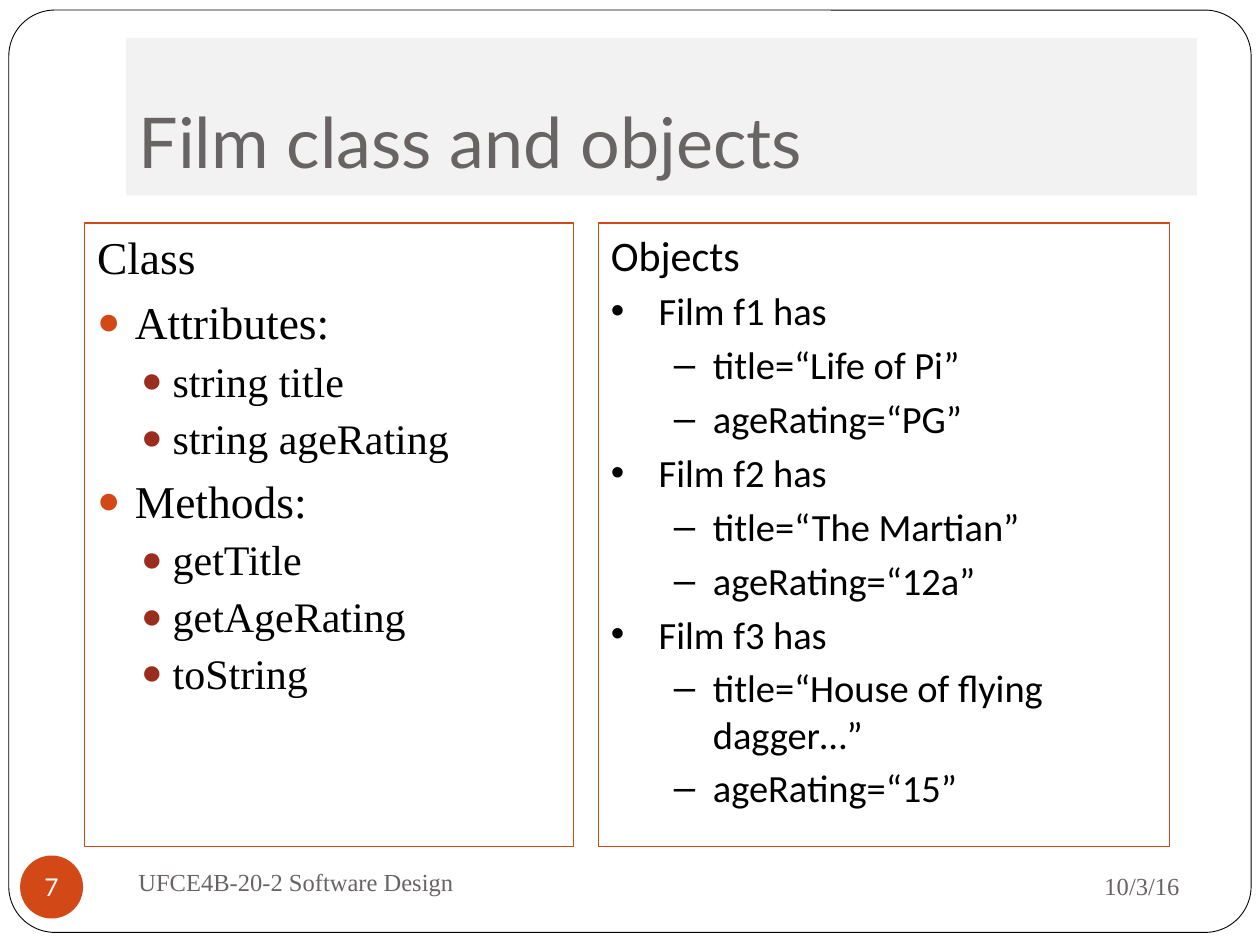
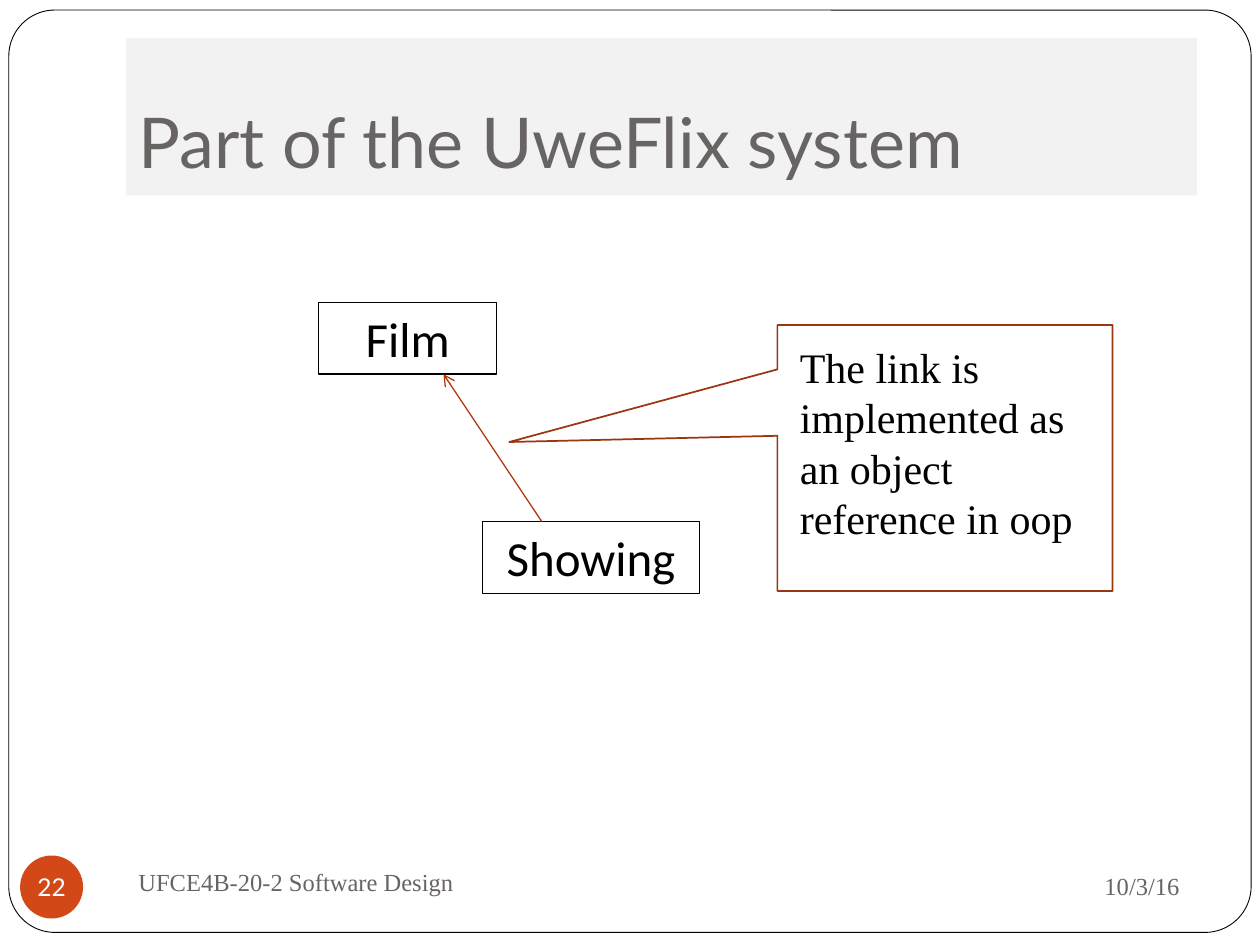
from lxml import etree
from pptx import Presentation
from pptx.dml.color import RGBColor
from pptx.enum import shapes, text
from pptx.oxml import ns
from pptx.util import Inches, Pt

HUES = {"ink": "000000", "grey": "696464", "band": "F2F2F2", "white": "FFFFFF",
        "rust": "D34817", "brick": "9B2D1F", "arrow": "B1360B", "call": "9C3511"}
SERIF = "Times New Roman"
KIND = shapes.MSO_SHAPE
LEFT, MID, RIGHT = text.PP_ALIGN.LEFT, text.PP_ALIGN.CENTER, text.PP_ALIGN.RIGHT


def draw(slide, kind, box, fill=None, line=None, width=0.75):
    """Add a preset shape, or a text box if kind is None."""
    place = [Inches(n) for n in box]
    if kind is None:
        shape = slide.shapes.add_textbox(*place)
    else:
        shape = slide.shapes.add_shape(kind, *place)
        shape.shadow.inherit = False
    if fill:
        shape.fill.solid()
        shape.fill.fore_color.rgb = RGBColor.from_string(HUES[fill])
    else:
        shape.fill.background()
    if line:
        shape.line.color.rgb = RGBColor.from_string(HUES[line])
        shape.line.width = Pt(width)
    else:
        shape.line.fill.background()
    shape.text_frame.word_wrap = True
    return shape


def write(shape, rows, font, hue, align=LEFT, anchor=text.MSO_ANCHOR.TOP):
    """Fill a shape with rows of (words, size, style); style may be None."""
    frame = shape.text_frame
    frame.vertical_anchor = anchor
    frame.auto_size = text.MSO_AUTO_SIZE.NONE
    for i, (words, size, style) in enumerate(rows):
        para = frame.paragraphs[0] if i == 0 else frame.add_paragraph()
        para.text = words
        para.alignment = align
        para.space_before = Pt(0)
        if style:
            level, margin, hang, gap, mark, tint = style
            para.level = level
            para.space_before = Pt(gap if i else 0)
            props = para._p.get_or_add_pPr()
            props.set("marL", str(Inches(margin)))
            props.set("indent", str(-Inches(hang)))
            if tint:
                color = etree.SubElement(props, ns.qn("a:buClr"))
                etree.SubElement(color, ns.qn("a:srgbClr"), val=HUES[tint])
                etree.SubElement(props, ns.qn("a:buSzPct"), val="85000")
            if mark:
                etree.SubElement(props, ns.qn("a:buFont"), typeface="Arial")
                etree.SubElement(props, ns.qn("a:buChar"), char=mark)
            else:
                etree.SubElement(props, ns.qn("a:buNone"))
        para.font.size = Pt(size)
        para.font.name = font
        para.font.color.rgb = RGBColor.from_string(HUES[hue])


deck = Presentation()
deck.slide_width, deck.slide_height = Inches(10), Inches(7.5)

# Shared frame, title band and footer
pages = []
for layout, head, num in [(1, "Film class and objects", "7"),
                          (5, "Part of the UweFlix system", "22")]:
    page = deck.slides.add_slide(deck.slide_layouts[layout])
    pages.append(page)
    title = page.shapes.title
    title.left, title.top, title.width, title.height = [
        Inches(n) for n in (1, 0.3, 8.5, 1.25)]
    title.fill.solid()
    title.fill.fore_color.rgb = RGBColor.from_string(HUES["band"])
    title.text_frame.margin_bottom = Inches(0.1)
    write(title, [(head, 40, None)], "Lato", "grey", anchor=text.MSO_ANCHOR.BOTTOM)

    rim = draw(page, KIND.ROUNDED_RECTANGLE, (0.07, 0.08, 9.86, 7.32),
               "white", "ink", 0.5)
    rim.adjustments[0] = 0.05
    title._element.addprevious(rim._element)

    for words, box, align in [
            ("10/3/16", (6.75, 6.77, 2.71, 0.52), RIGHT),
            ("UFCE4B-20-2 Software Design", (1, 6.75, 4.33, 0.5), LEFT)]:
        write(draw(page, None, box), [(words, 14, None)], SERIF, "grey",
              align, text.MSO_ANCHOR.MIDDLE)

    badge = draw(page, KIND.OVAL, (0.16, 6.79, 0.5, 0.5), "rust")
    frame = badge.text_frame
    frame.margin_left = frame.margin_right = 0
    frame.margin_top = frame.margin_bottom = 0
    frame.word_wrap = False
    write(badge, [(num, 14, None)], "Lato", "white", MID, text.MSO_ANCHOR.MIDDLE)

lists, links = pages

# Class list
head = (0, 0.3, 0.3, 5.8, None, None)
item = (0, 0.3, 0.3, 5.8, "●", "rust")
sub = (1, 0.6, 0.25, 3.7, "●", "brick")
rows = [("Class", 26, head)]
for group, parts in [("Attributes:", ["string title", "string ageRating"]),
                     ("Methods:", ["getTitle", "getAgeRating", "toString"])]:
    rows.append((group, 26, item))
    rows += [(part, 24, sub) for part in parts]
body = lists.placeholders[1]
body.left, body.top, body.width, body.height = [
    Inches(n) for n in (0.67, 1.77, 3.88, 4.95)]
body.line.color.rgb = RGBColor.from_string(HUES["rust"])
body.line.width = Pt(0.75)
write(body, rows, SERIF, "ink")

# Object list
head = (0, 0.38, 0.38, 4.4, None, None)
item = (0, 0.38, 0.38, 4.4, "•", None)
sub = (1, 0.81, 0.31, 4.4, "–", None)
rows = [("Objects", 24, head)]
for name, film, age in [("f1", "Life of Pi", "PG"), ("f2", "The Martian", "12a"),
                        ("f3", "House of flying dagger…", "15")]:
    rows += [(f"Film {name} has", 22, item), (f"title=“{film}”", 22, sub),
             (f"ageRating=“{age}”", 22, sub)]
panel = draw(lists, KIND.RECTANGLE, (4.75, 1.77, 4.53, 4.95), line="rust")
write(panel, rows, "Calibri", "ink")

# Class boxes
for name, box in [("Film", (2.53, 2.4, 1.41, 0.57)),
                  ("Showing", (3.83, 4.14, 1.72, 0.57))]:
    write(draw(links, KIND.RECTANGLE, box, line="ink"), [(name, 28, None)],
          "Calibri", "ink", MID)

# Arrow from Showing to Film
link = links.shapes.add_connector(shapes.MSO_CONNECTOR.STRAIGHT, Inches(4.3),
                                  Inches(4.14), Inches(3.52), Inches(2.97))
link.line.color.rgb = RGBColor.from_string(HUES["arrow"])
link.line.width = Pt(0.75)
etree.SubElement(link.line._get_or_add_ln(), ns.qn("a:tailEnd"), type="arrow")
etree.SubElement(link._element.spPr, ns.qn("a:effectLst"))

# Callout and its note
call = draw(links, KIND.RECTANGULAR_CALLOUT, (6.17, 2.58, 2.66, 2.11),
            line="call", width=1)
call.adjustments[0], call.adjustments[1] = -1.3, -0.06
note = draw(links, None, (6.25, 2.66, 2.5, 2.12))
write(note, [("The link is implemented as an object reference in oop", 24, None)],
      SERIF, "ink")

deck.save("out.pptx")
